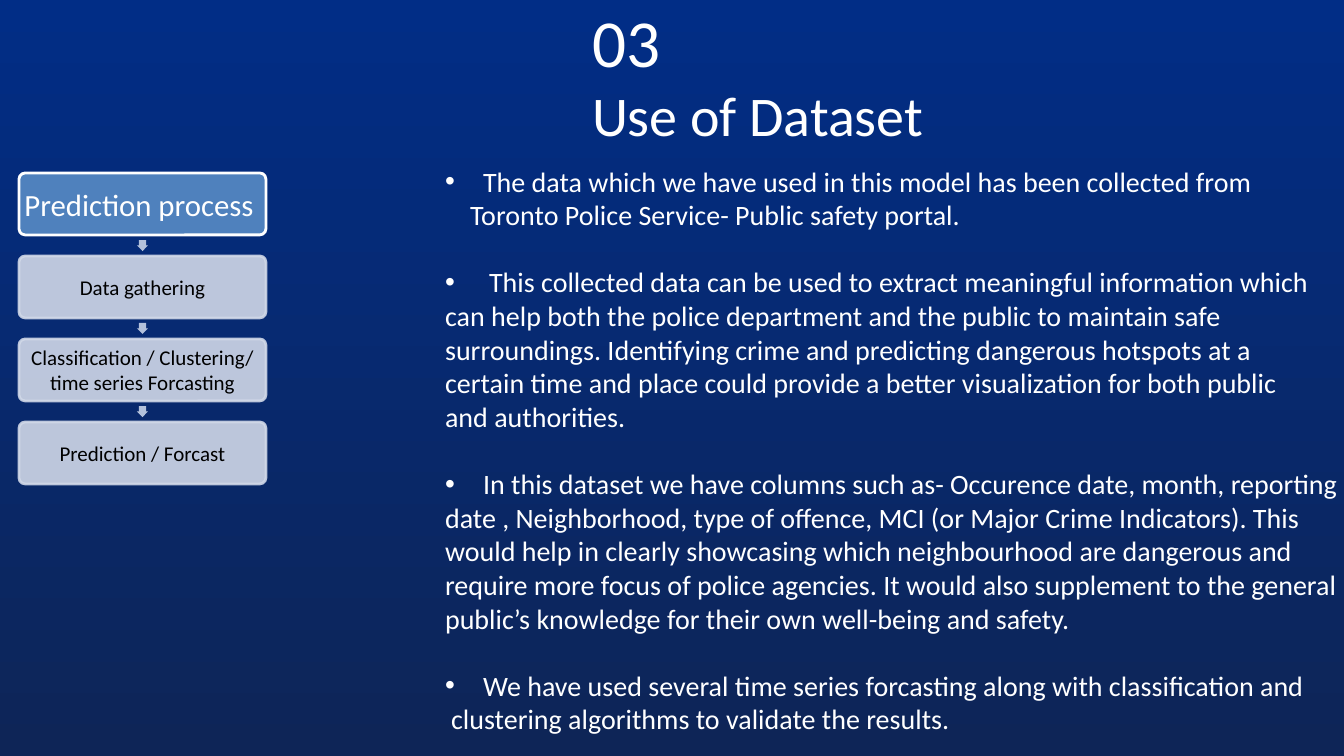
from lxml import etree
from pptx import Presentation
from pptx.dml.color import RGBColor
from pptx.enum.shapes import MSO_SHAPE
from pptx.enum.text import MSO_ANCHOR, MSO_AUTO_SIZE, PP_ALIGN
from pptx.oxml.ns import qn
from pptx.util import Emu, Pt

TITLE = [("03", 48), ("Use of Dataset", 40)]

# Each point: offset of its first line, then (left margin, line) pairs below it
POINTS = [
    (38, "The data which we have used in this model has been collected from",
     [(25, "Toronto Police Service- Public safety portal.")]),
    (44, "This collected data can be used to extract meaningful information which",
     [(0, "can help both the police department and the public to maintain safe"),
      (0, "surroundings. Identifying crime and predicting dangerous hotspots at a"),
      (0, "certain time and place could provide a better visualization for both public"),
      (0, "and authorities.")]),
    (38, "In this dataset we have columns such as- Occurence date, month, reporting",
     [(0, "date , Neighborhood, type of offence, MCI (or Major Crime Indicators). This"),
      (0, "would help in clearly showcasing which neighbourhood are dangerous and"),
      (0, "require more focus of police agencies. It would also supplement to the general "
          "public’s knowledge for their own well-being and safety.")]),
    (38, "We have used several time series forcasting along with classification and",
     [(6, "clustering algorithms to validate the results.")]),
]

# Label, text size, fill, line, text colour, opacity in percent
STEPS = [
    ("Prediction process ", 22, "blue", "white", "white", 100),
    ("Data gathering", 15, "pale", "pale", "black", 90),
    ("Classification / Clustering/ time series Forcasting", 15, "pale", "pale", "black", 90),
    ("Prediction / Forcast", 15, "pale", "pale", "black", 90),
]

COLORS = {"top": "012D86", "bottom": "0E2557", "white": "FFFFFF", "black": "000000",
          "blue": "4F81BD", "pale": "D0D8E8", "arrow": "B3C1DB"}
FONT = "Calibri"
STEP_X, STEP_Y, STEP_W, STEP_H, STEP_PITCH = 19, 173, 247, 62, 83
ARROW = 11


def px(n):
    return Emu(round(n * 914400 / 100.8))


def rgb(name):
    return RGBColor.from_string(COLORS[name])


def style(p, size, color="white"):
    for r in p.runs:
        r.font.size, r.font.name = Pt(size), FONT
        r.font.color.rgb = rgb(color)


def place(sp, x, y, w, h):
    sp.left, sp.top, sp.width, sp.height = px(x), px(y), px(w), px(h)


def set_bullet(p, margin, bullet):
    """Give p a left margin, with a hanging bullet or with none."""
    pPr = p._p.get_or_add_pPr()
    pPr.set("marL", str(px(margin)))
    pPr.set("indent", str(-px(margin) if bullet else 0))
    if bullet:
        etree.SubElement(pPr, qn("a:buFont")).set("typeface", "Arial")
        etree.SubElement(pPr, qn("a:buChar")).set("char", "•")
    else:
        etree.SubElement(pPr, qn("a:buNone"))


def add_shape(slide, kind, box, fill):
    sp = slide.shapes.add_shape(kind, *map(px, box))
    sp.shadow.inherit = False
    sp.fill.solid()
    sp.fill.fore_color.rgb = rgb(fill)
    return sp


def add_title(slide):
    sp = slide.shapes.title
    place(sp, 582, -5, 880, 111)
    tf = sp.text_frame
    tf.auto_size, tf.vertical_anchor = MSO_AUTO_SIZE.NONE, MSO_ANCHOR.TOP
    p = tf.paragraphs[0]
    p.text = "\v".join(text for text, _ in TITLE)
    p.alignment = PP_ALIGN.LEFT
    style(p, TITLE[0][1])
    for r, (_, size) in zip(p.runs, TITLE):
        r.font.size = Pt(size)


def add_points(slide):
    sp = slide.placeholders[1]
    place(sp, 435, 159, 916, 587)
    tf = sp.text_frame
    tf.auto_size, tf.vertical_anchor = MSO_AUTO_SIZE.NONE, MSO_ANCHOR.TOP
    p = tf.paragraphs[0]
    for i, (offset, first, rest) in enumerate(POINTS):
        for j, (margin, text) in enumerate([(offset, first)] + rest):
            if i or j:
                p = tf.add_paragraph()
            p.text = text
            p.space_before = Pt(24 if i and not j else 0)
            set_bullet(p, margin, bullet=j == 0)
            style(p, 20)


def add_step(slide, i, label, size, fill, line, color, opacity):
    y = STEP_Y + i * STEP_PITCH
    sp = add_shape(slide, MSO_SHAPE.ROUNDED_RECTANGLE, (STEP_X, y, STEP_W, STEP_H), fill)
    sp.adjustments[0] = 0.1
    sp.line.color.rgb = rgb(line)
    sp.line.width = Pt(2)
    if opacity < 100:
        for clr in sp._element.spPr.iter(qn("a:srgbClr")):
            etree.SubElement(clr, qn("a:alpha")).set("val", str(opacity * 1000))
    tf = sp.text_frame
    tf.word_wrap, tf.vertical_anchor = True, MSO_ANCHOR.MIDDLE
    tf.margin_left = tf.margin_right = tf.margin_top = tf.margin_bottom = px(2)
    p = tf.paragraphs[0]
    p.text, p.alignment = label, PP_ALIGN.CENTER
    style(p, size, color)
    if i < len(STEPS) - 1:
        gap = STEP_PITCH - STEP_H
        box = (STEP_X + (STEP_W - ARROW) / 2, y + STEP_H + (gap - ARROW) / 2, ARROW, ARROW)
        arrow = add_shape(slide, MSO_SHAPE.RIGHT_ARROW, box, "arrow")
        arrow.rotation = 90
        arrow.adjustments[0], arrow.adjustments[1] = 0.67, 0.5
        arrow.line.fill.background()


def main():
    prs = Presentation()
    prs.slide_width, prs.slide_height = px(1344), px(756)
    slide = prs.slides.add_slide(prs.slide_layouts[1])
    bg = slide.background.fill
    bg.gradient()
    bg.gradient_angle = 270
    for stop, name in zip(bg.gradient_stops, ("top", "bottom")):
        stop.color.rgb = rgb(name)
    add_title(slide)
    add_points(slide)
    for i, step in enumerate(STEPS):
        add_step(slide, i, *step)
    prs.save("out.pptx")


if __name__ == "__main__":
    main()
